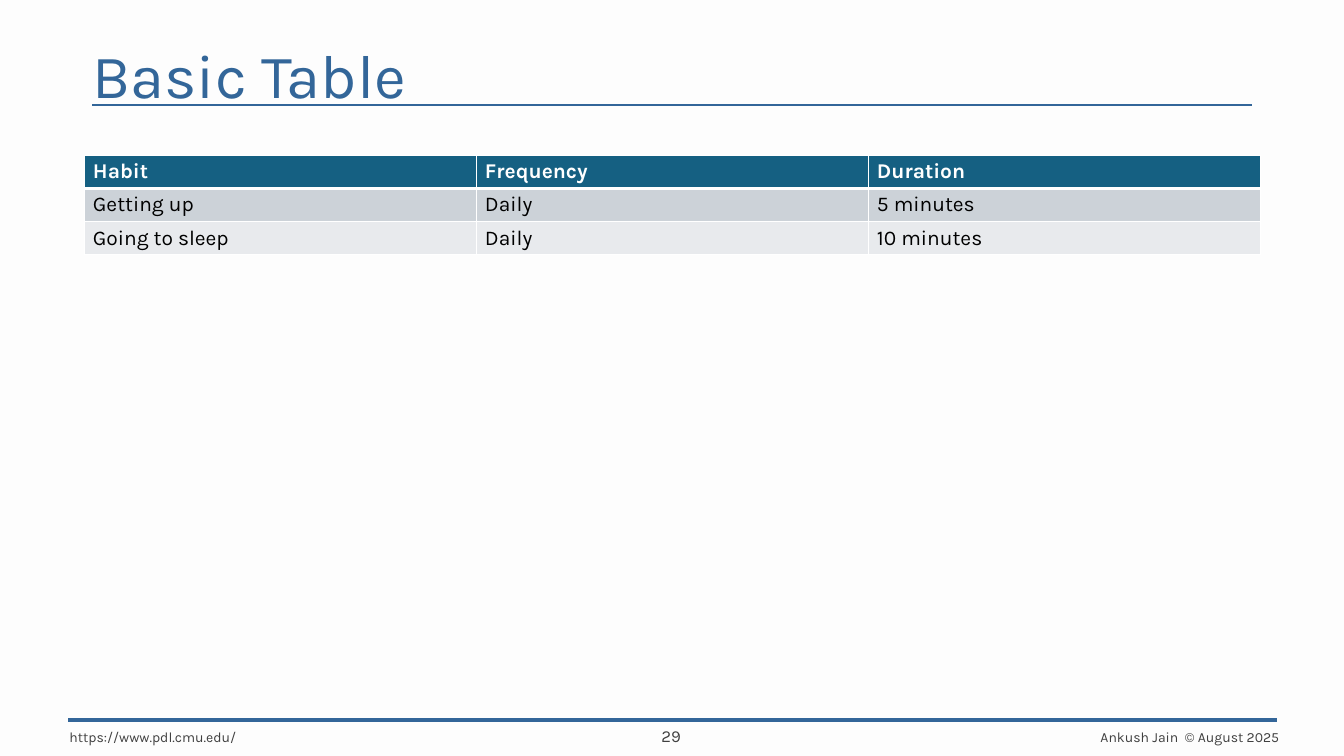
from dataclasses import dataclass

import lxml.etree
import pptx
import pptx.dml.color
import pptx.enum.shapes
import pptx.enum.text
import pptx.oxml.ns
import pptx.util

Pt = pptx.util.Pt
RGBColor = pptx.dml.color.RGBColor
Align = pptx.enum.text.PP_ALIGN
Anchor = pptx.enum.text.MSO_ANCHOR
qn = pptx.oxml.ns.qn

BACKGROUND = RGBColor(0xFD, 0xFD, 0xFD)
BLUE = RGBColor(0x33, 0x66, 0x99)
GRAY = RGBColor(0x40, 0x40, 0x40)
WHITE = RGBColor(0xFF, 0xFF, 0xFF)
BLACK = RGBColor(0x00, 0x00, 0x00)
HEADER_FILL = RGBColor(0x15, 0x60, 0x82)
BAND_FILLS = (RGBColor(0xCC, 0xD2, 0xD8), RGBColor(0xE8, 0xEA, 0xED))

FONT = "Karla"
ROW_HEIGHT = 28.3
HABITS = (
    ("Habit", "Frequency", "Duration"),
    ("Getting up", "Daily", "5 minutes"),
    ("Going to sleep", "Daily", "10 minutes"),
)


@dataclass(frozen=True)
class Rule:
    left: float
    right: float
    y: float
    weight: float


@dataclass(frozen=True)
class Label:
    text: str
    left: float
    top: float
    width: float
    height: float
    size: float
    color: RGBColor = GRAY
    align: Align = Align.LEFT
    line_spacing: float = 1.0


RULES = (
    Rule(left=58.5, right=1095, y=617, weight=3.5),
    Rule(left=79.2, right=1072.8, y=90, weight=2),
)
LABELS = (
    Label("Basic Table", 72, 5, 1008, 125.3, 52.8, BLUE, line_spacing=0.9),
    Label("Ankush Jain  © August 2025", 844.5, 614.3, 259.2, 34.5, 12, align=Align.RIGHT),
    Label("https://www.pdl.cmu.edu/", 52.5, 614.3, 259.2, 34.5, 12),
    Label("29", 445.7, 613.5, 259.2, 34.5, 14.4, align=Align.CENTER),
)


def write_text(text_frame, text: str, *, size: float, color: RGBColor, bold: bool = False,
               align: Align = Align.LEFT, line_spacing: float = 1.0) -> None:
    paragraph = text_frame.paragraphs[0]
    paragraph.alignment = align
    paragraph.line_spacing = line_spacing
    run = paragraph.add_run()
    run.text = text
    run.font.name = FONT
    run.font.size = Pt(size)
    run.font.bold = bold
    run.font.color.rgb = color


def add_rule(slide, rule: Rule) -> None:
    connector = slide.shapes.add_connector(
        pptx.enum.shapes.MSO_CONNECTOR.STRAIGHT,
        Pt(rule.left), Pt(rule.y), Pt(rule.right), Pt(rule.y))
    connector.line.color.rgb = BLUE
    connector.line.width = Pt(rule.weight)
    lxml.etree.SubElement(connector._element.spPr, qn("a:effectLst"))


def add_label(slide, label: Label) -> None:
    shape = slide.shapes.add_textbox(
        Pt(label.left), Pt(label.top), Pt(label.width), Pt(label.height))
    shape.text_frame.word_wrap = True
    shape.text_frame.vertical_anchor = Anchor.MIDDLE
    write_text(shape.text_frame, label.text, size=label.size, color=label.color,
               align=label.align, line_spacing=label.line_spacing)


def set_borders(cell, *, top: float, bottom: float) -> None:
    """Give the cell white borders; call this before filling the cell."""
    properties = cell._tc.get_or_add_tcPr()
    for side, weight in (("L", 1), ("R", 1), ("T", top), ("B", bottom)):
        line = lxml.etree.SubElement(properties, qn(f"a:ln{side}"), w=str(Pt(weight)))
        fill = lxml.etree.SubElement(line, qn("a:solidFill"))
        lxml.etree.SubElement(fill, qn("a:srgbClr"), val=str(WHITE))


def add_habit_table(slide) -> None:
    table = slide.shapes.add_table(
        len(HABITS), len(HABITS[0]), Pt(72.5), Pt(133.2),
        Pt(1008), Pt(ROW_HEIGHT * len(HABITS))).table
    for row_index, habit in enumerate(HABITS):
        is_header = row_index == 0
        table.rows[row_index].height = Pt(ROW_HEIGHT)
        for column_index, text in enumerate(habit):
            cell = table.cell(row_index, column_index)
            set_borders(cell, top=3 if row_index == 1 else 1, bottom=3 if is_header else 1)
            cell.fill.solid()
            cell.fill.fore_color.rgb = (
                HEADER_FILL if is_header else BAND_FILLS[(row_index - 1) % len(BAND_FILLS)])
            write_text(cell.text_frame, text, size=18, bold=is_header,
                       color=WHITE if is_header else BLACK)


def main() -> None:
    presentation = pptx.Presentation()
    presentation.slide_width = Pt(1152)
    presentation.slide_height = Pt(648)
    slide = presentation.slides.add_slide(presentation.slide_layouts[6])
    slide.background.fill.solid()
    slide.background.fill.fore_color.rgb = BACKGROUND
    for rule in RULES:
        add_rule(slide, rule)
    add_habit_table(slide)
    for label in LABELS:
        add_label(slide, label)
    presentation.save("out.pptx")


if __name__ == "__main__":
    main()
